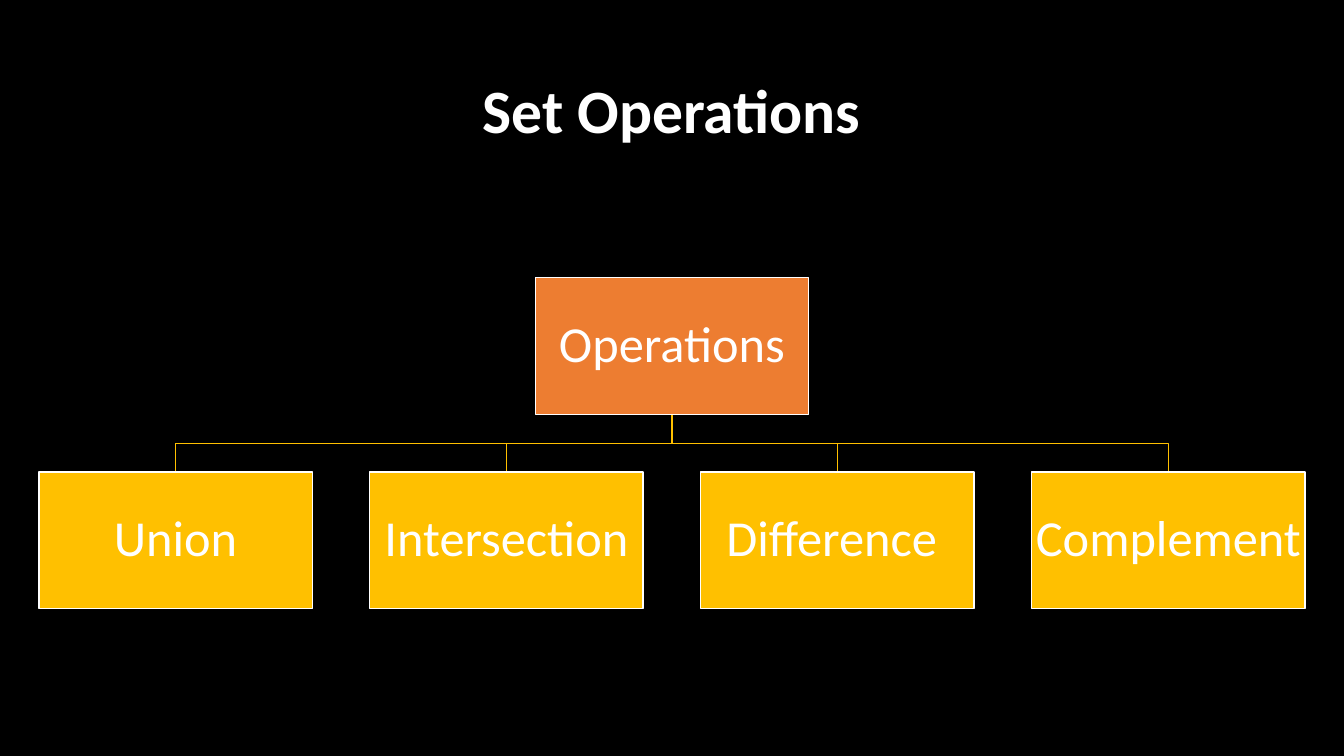
from pptx import Presentation
from pptx.dml.color import RGBColor
from pptx.enum.shapes import MSO_SHAPE
from pptx.enum.text import MSO_ANCHOR, PP_ALIGN
from pptx.util import Cm, Pt

BLACK = RGBColor(0x00, 0x00, 0x00)
WHITE = RGBColor(0xFF, 0xFF, 0xFF)
ORANGE = RGBColor(0xED, 0x7D, 0x31)
GOLD = RGBColor(0xFF, 0xC0, 0x00)

FONT = "Calibri"
SLIDE_WIDTH, SLIDE_HEIGHT = Cm(33.87), Cm(19.05)
BOX_WIDTH, BOX_HEIGHT = Cm(6.89), Cm(3.45)
BOX_PITCH = Cm(8.34)
ROOT_TOP, CHILD_TOP = Cm(7), Cm(11.89)
# The trailing space belongs to the wording and shifts the centred text
OPERATIONS = ["Union", "Intersection", "Difference ", "Complement"]


def write_text(text_frame, text, size, bold=False):
    text_frame.word_wrap = True
    text_frame.vertical_anchor = MSO_ANCHOR.MIDDLE
    paragraph = text_frame.paragraphs[0]
    paragraph.alignment = PP_ALIGN.CENTER
    paragraph.line_spacing = 0.9
    run = paragraph.add_run()
    run.text = text
    run.font.name = FONT
    run.font.size = Pt(size)
    run.font.bold = bold
    run.font.color.rgb = WHITE


def add_title(slide, text):
    title = slide.shapes.title
    title.left, title.top = Cm(2.33), Cm(1.01)
    title.width, title.height = Cm(29.21), Cm(3.68)
    write_text(title.text_frame, text, 44, bold=True)


def add_box(slide, text, center, top, color):
    shape = slide.shapes.add_shape(
        MSO_SHAPE.RECTANGLE, center - BOX_WIDTH // 2, top, BOX_WIDTH, BOX_HEIGHT)
    shape.shadow.inherit = False
    shape.fill.solid()
    shape.fill.fore_color.rgb = color
    shape.line.color.rgb = WHITE
    shape.line.width = Pt(1)
    frame = shape.text_frame
    frame.margin_left = frame.margin_right = Cm(0.06)
    frame.margin_top = frame.margin_bottom = Cm(0.06)
    write_text(frame, text, 36)


def add_branch(slide, start_x, end_x):
    start_y = ROOT_TOP + BOX_HEIGHT
    middle_y = (start_y + CHILD_TOP) // 2
    builder = slide.shapes.build_freeform(start_x, start_y)
    builder.add_line_segments(
        [(start_x, middle_y), (end_x, middle_y), (end_x, CHILD_TOP)], close=False)
    branch = builder.convert_to_shape()
    branch.shadow.inherit = False
    branch.fill.background()
    branch.line.color.rgb = GOLD
    branch.line.width = Pt(1)


def main():
    presentation = Presentation()
    presentation.slide_width = SLIDE_WIDTH
    presentation.slide_height = SLIDE_HEIGHT
    slide = presentation.slides.add_slide(presentation.slide_layouts[5])
    slide.background.fill.solid()
    slide.background.fill.fore_color.rgb = BLACK

    add_title(slide, "Set Operations")

    # Children are spread evenly about the middle of the slide
    middle = SLIDE_WIDTH // 2
    first = middle - BOX_PITCH * (len(OPERATIONS) - 1) // 2
    centers = [first + index * BOX_PITCH for index in range(len(OPERATIONS))]

    # Branches lie behind the boxes
    for center in centers:
        add_branch(slide, middle, center)

    # Root and children
    add_box(slide, "Operations", middle, ROOT_TOP, ORANGE)
    for operation, center in zip(OPERATIONS, centers):
        add_box(slide, operation, center, CHILD_TOP, GOLD)

    presentation.save("out.pptx")


if __name__ == "__main__":
    main()
